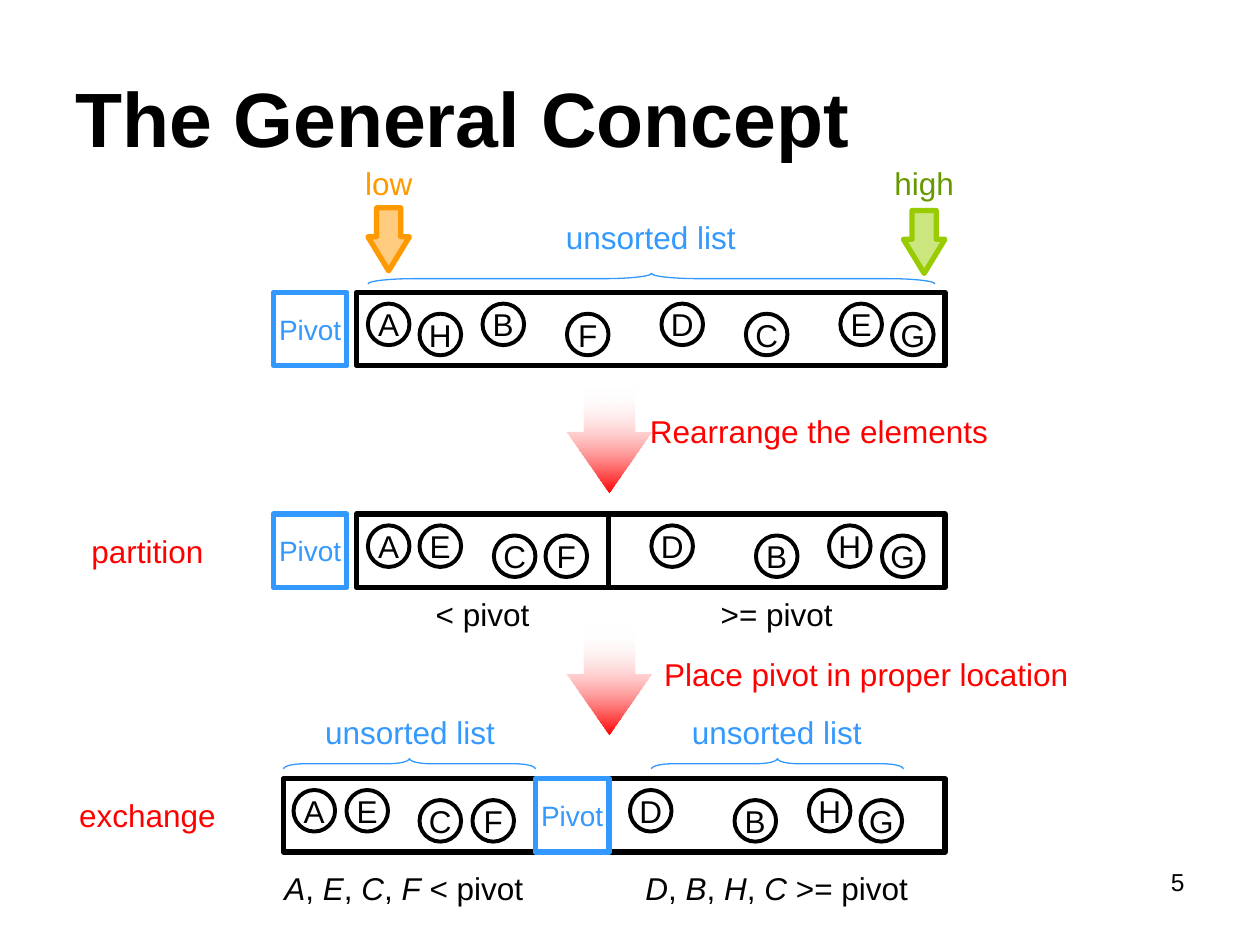
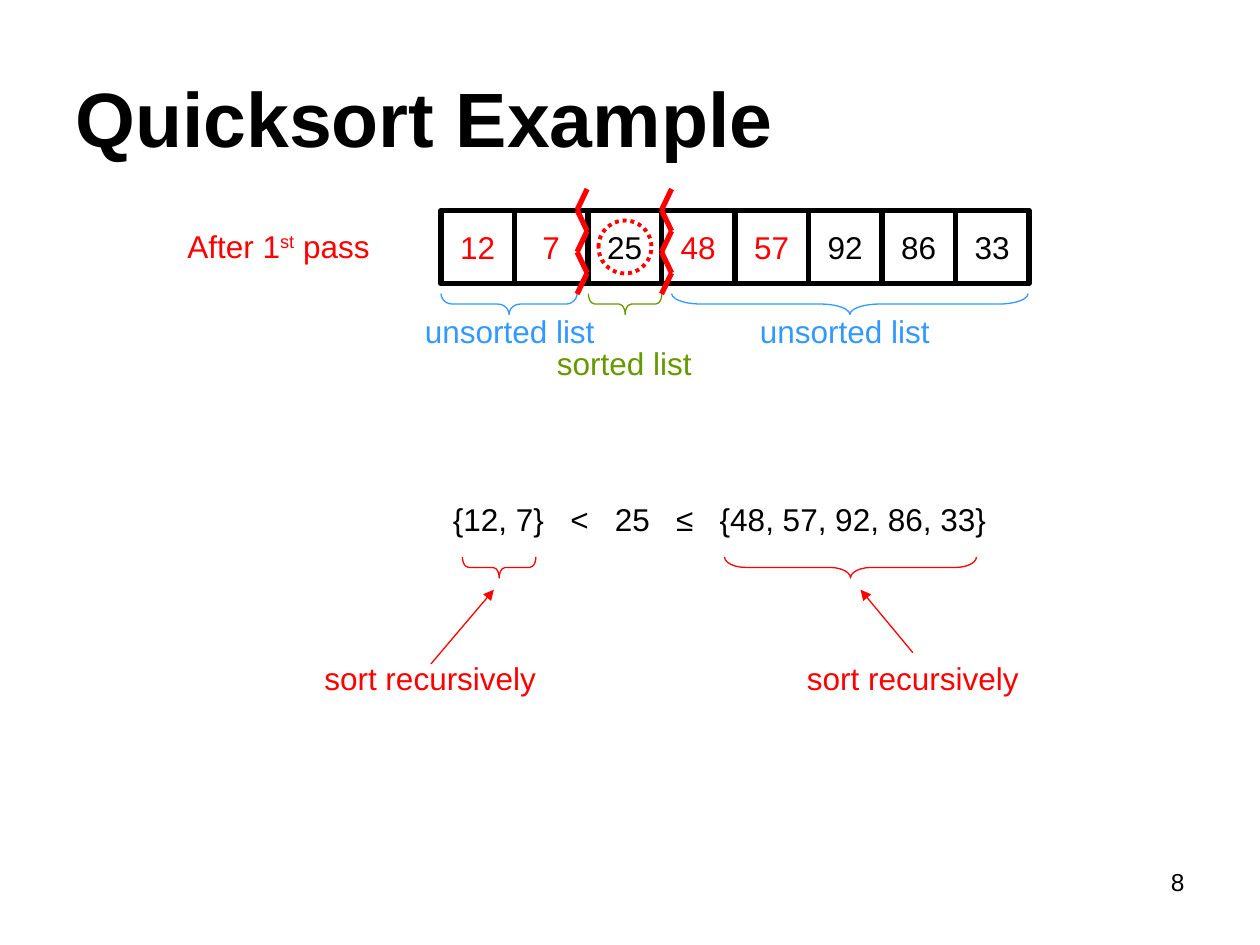
"""Build two slides that explain the partition step of quicksort."""
from lxml import etree
from pptx import Presentation
from pptx.dml.color import RGBColor
from pptx.enum.dml import MSO_LINE
from pptx.enum.shapes import MSO_CONNECTOR, MSO_SHAPE
from pptx.enum.text import MSO_ANCHOR, PP_ALIGN
from pptx.oxml.ns import qn
from pptx.util import Inches, Pt

RECTANGLE, OVAL = MSO_SHAPE.RECTANGLE, MSO_SHAPE.OVAL
BRACE, DOWN_ARROW = MSO_SHAPE.RIGHT_BRACE, MSO_SHAPE.DOWN_ARROW
STRAIGHT, DOTTED = MSO_CONNECTOR.STRAIGHT, MSO_LINE.ROUND_DOT
LEFT, CENTER, RIGHT = PP_ALIGN.LEFT, PP_ALIGN.CENTER, PP_ALIGN.RIGHT
TOP, MIDDLE = MSO_ANCHOR.TOP, MSO_ANCHOR.MIDDLE

FONT = "Arial"
BLACK, WHITE, RED, BLUE = "000000", "FFFFFF", "FF0000", "3399FF"
ORANGE, LIME, GREEN = "FF9900", "99CC00", "669900"
CELL = 7 / 12
BALL = 0.33
UP, DOWN = 270, 90
ITALIC = {"italic": True}
SUPERSCRIPT = {"baseline": 30000}
WIDE_GAP = {"spc": 1000}

# Each list row: top, black boxes (left, width), pivot left, balls (letter, left, drop)
LIST_ROWS = [
    (2.32, [(2.83, 4.67)], 2.17,
     [("A", 2.92, 0), ("H", 3.33, 1), ("B", 3.83, 0), ("F", 4.5, 1),
      ("D", 5.25, 0), ("C", 5.92, 1), ("E", 6.67, 0), ("G", 7.08, 1)]),
    (4.08, [(2.83, 2), (4.83, 2.67)], 2.17,
     [("A", 2.92, 0), ("E", 3.33, 0), ("C", 3.92, 1), ("F", 4.33, 1),
      ("D", 5.17, 0), ("B", 6, 1), ("H", 6.58, 0), ("G", 7, 1)]),
    (6.18, [(2.25, 2), (4.83, 2.67)], 4.25,
     [("A", 2.33, 0), ("E", 2.75, 0), ("C", 3.33, 1), ("F", 3.75, 1),
      ("D", 5, 0), ("B", 5.83, 1), ("H", 6.42, 0), ("G", 6.83, 1)]),
]
CONCEPT_LABELS = [
    ("low", 2.42, 1.25, 1.33, ORANGE),
    ("high", 6.67, 1.25, 1.33, GREEN),
    ("unsorted list", 3.75, 1.68, 2.83, BLUE),
    ("Rearrange the elements", 5, 3.22, 3, RED),
    ("partition", 0.17, 4.17, 2, RED),
    ("< pivot", 2.83, 4.67, 2, BLACK),
    (">= pivot", 4.83, 4.67, 2.67, BLACK),
    ("Place pivot in proper location", 5, 5.15, 3.75, RED),
    ("unsorted list", 2.42, 5.61, 1.67, BLUE),
    ("unsorted list", 5.33, 5.61, 1.67, BLUE),
    ("exchange", 0.17, 6.27, 2, RED),
]
RESULTS = [("AECF", " < pivot", 2.08, 2.25), ("DBHC", " >= pivot", 4.83, 2.67)]
CONCEPT_BRACES = [(2.92, 2.17, 4.5), (2.25, 6.02, 2), (5.17, 6.02, 2)]
MARKERS = [(2.92, 1.65, ORANGE), (7.17, 1.67, LIME)]
STEP_ARROW_TOPS = [3.08, 5]

NUMBERS = [("12", RED), ("7", RED), ("25", BLACK), ("48", RED),
           ("57", RED), ("92", BLACK), ("86", BLACK), ("33", BLACK)]
EXAMPLE_LABELS = [
    ([("After 1", {}), ("st", SUPERSCRIPT), (" pass ", {})], 1.08, 1.75, 2.33, RED),
    ("unsorted list", 3.17, 2.43, 1.75, BLUE),
    ("sorted list", 4.08, 2.68, 1.75, GREEN),
    ("unsorted list", 5.83, 2.43, 1.75, BLUE),
]
EXAMPLE_BRACES = [(3.5, 2.33, 1.08, BLUE), (4.67, 2.33, CELL, GREEN), (5.33, 2.33, 2.83, BLUE),
                  (3.67, 4.42, CELL, RED), (5.75, 4.42, 2, RED)]
COMPARISON = ["{12, 7}", "<", "25", "≤", "{48, 57, 92, 86, 33}"]
CUT_LEFTS = [4.58, 5.25]


def color(value):
    return RGBColor.from_string(value)


def set_alpha(parent, percent):
    for node in parent.iter(qn("a:srgbClr")):
        if node.get("val") != RED:
            etree.SubElement(node, qn("a:alpha")).set("val", str(percent * 1000))


def write(box, content, size, ink, align=CENTER, anchor=TOP, bold=False, wrap=True):
    frame = box.text_frame
    frame.word_wrap = wrap
    frame.vertical_anchor = anchor
    para = frame.paragraphs[0]
    para.alignment = align
    runs = [(content, {})] if isinstance(content, str) else content
    for words, style in runs:
        span = para.add_run()
        span.text = words
        span.font.name = FONT
        span.font.size = Pt(size)
        span.font.bold = bold
        span.font.italic = style.get("italic", False)
        span.font.color.rgb = color(ink)
        for name in ("baseline", "spc"):
            if name in style:
                span.font._element.set(name, str(style[name]))


def add_label(page, content, left, top, width, ink, height=0.4, size=18, **layout):
    box = page.shapes.add_textbox(Inches(left), Inches(top), Inches(width), Inches(height))
    write(box, content, size, ink, **layout)
    return box


def add_figure(page, kind, left, top, width, height, fill=None, line=None, weight=3):
    figure = page.shapes.add_shape(kind, Inches(left), Inches(top), Inches(width), Inches(height))
    figure.shadow.inherit = False
    if fill:
        figure.fill.solid()
        figure.fill.fore_color.rgb = color(fill)
    else:
        figure.fill.background()
    if line:
        figure.line.color.rgb = color(line)
        figure.line.width = Pt(weight)
    else:
        figure.line.fill.background()
    return figure


def add_cell(page, words, left, top, ink, line, size):
    cell = add_figure(page, RECTANGLE, left, top, CELL, CELL, WHITE, line)
    write(cell, words, size, ink, anchor=MIDDLE, wrap=False)


def add_ball(page, letter, left, top):
    ball = add_figure(page, OVAL, left, top, BALL, BALL, WHITE, BLACK, 2.25)
    write(ball, letter, 18, BLACK, anchor=MIDDLE, wrap=False)


def add_brace(page, left, top, span, depth, turn, ink):
    middle_x, middle_y = left + span / 2, top + depth / 2
    brace = add_figure(page, BRACE, middle_x - depth / 2, middle_y - span / 2,
                       depth, span, line=ink, weight=0.75)
    brace.rotation = turn
    brace.adjustments[0] = span / depth / 12


def add_arrow_shape(page, left, top, width, height, shaft, head, **paint):
    arrow = add_figure(page, DOWN_ARROW, left, top, width, height, **paint)
    arrow.adjustments[0] = shaft
    arrow.adjustments[1] = head
    return arrow


def add_line(shapes, start, end, weight, arrow=False):
    line = shapes.add_connector(STRAIGHT, *[Inches(value) for value in (*start, *end)])
    line.line.color.rgb = color(RED)
    line.line.width = Pt(weight)
    if arrow:
        etree.SubElement(line.line._get_or_add_ln(), qn("a:tailEnd")).set("type", "triangle")
    etree.SubElement(line._element.spPr, qn("a:effectLst"))
    return line


def add_page(deck, title, number):
    page = deck.slides.add_slide(deck.slide_layouts[6])
    add_label(page, number, 7.17, 6.83, 2.33, BLACK, height=0.52, size=14, align=RIGHT)
    add_label(page, title, 0.5, 0.3, 9, BLACK, height=1.25, size=44,
              align=LEFT, anchor=MIDDLE, bold=True)
    return page


def build_concept(deck):
    page = add_page(deck, "The General Concept", "5")
    for top, boxes, pivot_left, balls in LIST_ROWS:
        for left, width in boxes:
            add_figure(page, RECTANGLE, left, top, width, CELL, WHITE, BLACK)
        add_cell(page, "Pivot", pivot_left, top, BLUE, BLUE, 16)
        for letter, left, drop in balls:
            add_ball(page, letter, left, top + 0.09 + 0.08 * drop)
    for left, top, ink in MARKERS:
        marker = add_arrow_shape(page, left, top, 0.33, 0.5, 0.58, 0.82, fill=ink, line=ink)
        set_alpha(marker._element.spPr.find(qn("a:solidFill")), 50)
    for label in CONCEPT_LABELS:
        add_label(page, *label)
    for letters, ending, left, width in RESULTS:
        runs = []
        for letter in letters:
            runs += [(letter, ITALIC), (", ", {})]
        runs[-1] = (ending, {})
        add_label(page, runs, left, 6.85, width, BLACK)
    for left, top, span in CONCEPT_BRACES:
        add_brace(page, left, top, span, 1 / 12, UP, BLUE)
    for top in STEP_ARROW_TOPS:
        arrow = add_arrow_shape(page, 4.5, top, 0.67, 0.83, 0.6, 0.72)
        arrow.fill.gradient()
        arrow.fill.gradient_angle = 270
        for stop, ink in zip(arrow.fill.gradient_stops, (WHITE, RED)):
            stop.color.rgb = color(ink)
        set_alpha(arrow._element.spPr.find(qn("a:gradFill")), 0)


def build_example(deck):
    page = add_page(deck, "Quicksort Example", "8")
    for index, (number, ink) in enumerate(NUMBERS):
        add_cell(page, number, 3.5 + index * CELL, 1.67, ink, BLACK, 18)
    ring = add_figure(page, OVAL, 4.75, 1.75, 0.42, 0.42, line=RED, weight=2.25)
    ring.line.dash_style = DOTTED
    for label in EXAMPLE_LABELS:
        add_label(page, *label)
    for left, top, span, ink in EXAMPLE_BRACES:
        add_brace(page, left, top, span, 2 / 12, DOWN, ink)
    for left in CUT_LEFTS:
        cut = page.shapes.add_group_shape()
        points = [(left + (0.08 if step % 2 == 0 else 0), 1.5 + step / 6) for step in range(6)]
        for start, end in zip(points, points[1:]):
            add_line(cut.shapes, start, end, 3)
    runs = [(COMPARISON[0], {})]
    for term in COMPARISON[1:]:
        runs += [(" ", WIDE_GAP), (term, {})]
    add_label(page, runs, 3.25, 3.92, 4.92, BLACK)
    add_label(page, "sort recursively", 2.25, 5.18, 2.33, RED)
    right_label = add_label(page, "sort recursively", 6.08, 5.18, 2.33, RED)
    add_line(page.shapes, (3.42, 5.27), (3.92, 4.68), 0.75, arrow=True)
    pointer = add_line(page.shapes, (7.25, 5.18), (6.83, 4.68), 0.75, arrow=True)
    pointer.begin_connect(right_label, 0)


def main():
    deck = Presentation()
    deck.slide_width, deck.slide_height = Inches(10), Inches(7.5)
    build_concept(deck)
    build_example(deck)
    deck.save("out.pptx")


if __name__ == "__main__":
    main()
